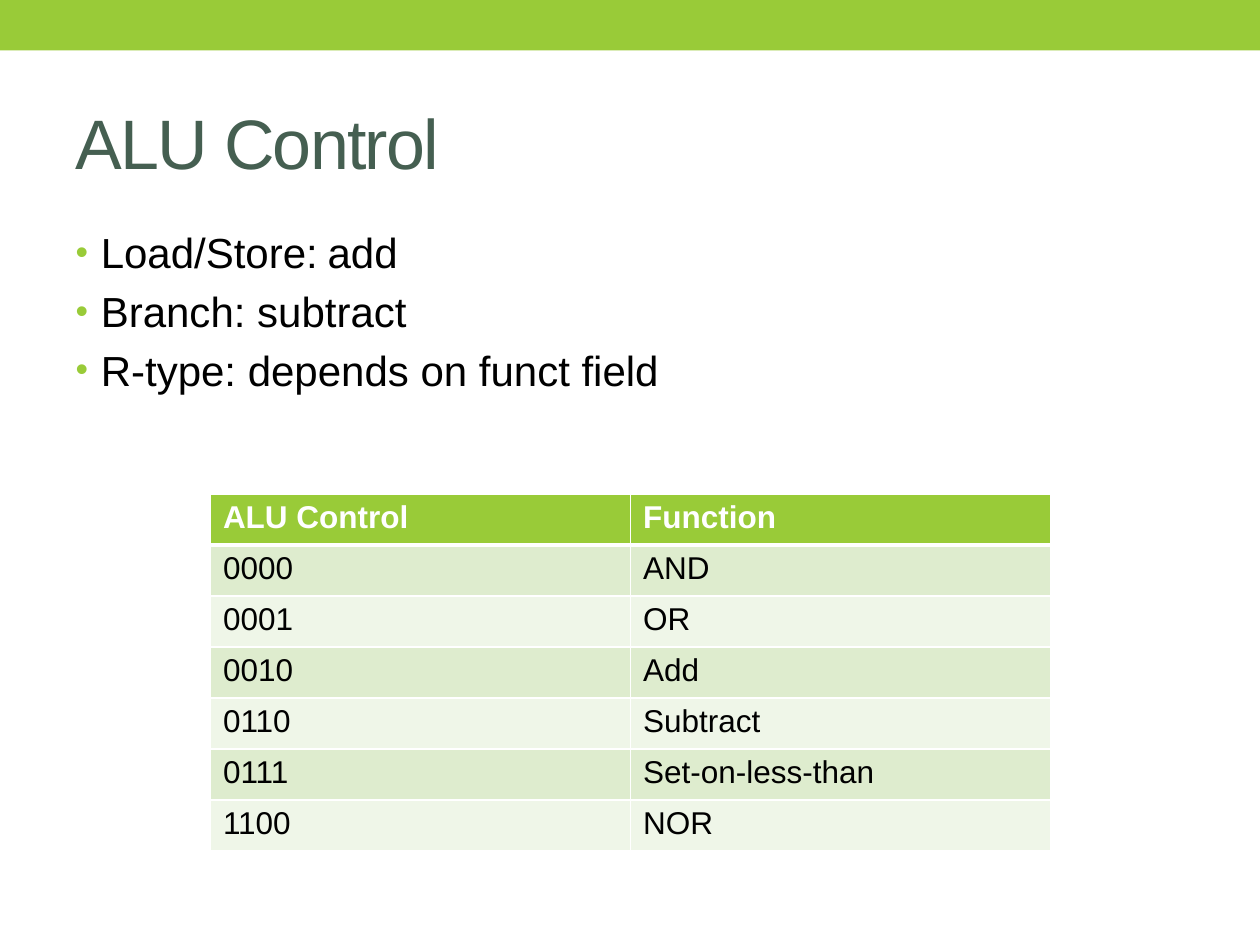
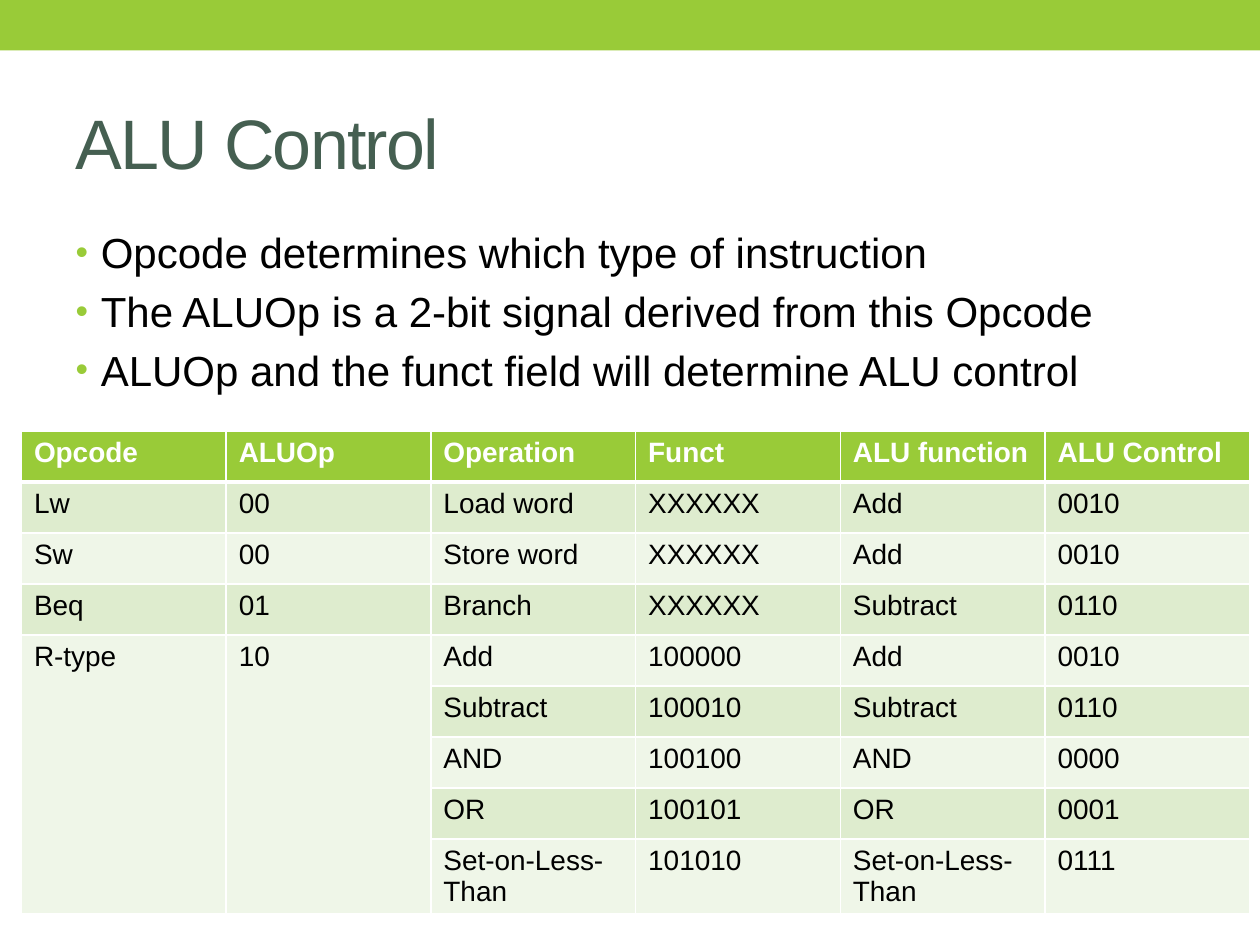
from lxml import etree
from pptx import Presentation, util as u
from pptx.dml.color import RGBColor
from pptx.enum import shapes, text
from pptx.oxml import ns

# Content
SLIDES = [
    {
        "title": "ALU Control",
        "points": [
            "Load/Store:\tadd",
            "Branch: subtract",
            "R-type: depends on funct field",
        ],
        "table": {
            "left": 1.67, "top": 3.92, "width": 6.67, "size": 18,
            "rows": [
                ("ALU Control", "Function"),
                ("0000", "AND"),
                ("0001", "OR"),
                ("0010", "Add"),
                ("0110", "Subtract"),
                ("0111", "Set-on-less-than"),
                ("1100", "NOR"),
            ],
        },
    },
    {
        "title": "ALU Control",
        "points": [
            "Opcode determines which type of instruction",
            "The ALUOp is a 2-bit signal derived from this Opcode",
            "ALUOp and the funct field will determine ALU control",
        ],
        # None continues the cell above it
        "table": {
            "left": 0.17, "top": 3.42, "width": 9.75, "size": 16,
            "rows": [
                ("Opcode", "ALUOp", "Operation", "Funct", "ALU function", "ALU Control"),
                ("Lw", "00", "Load word", "XXXXXX", "Add", "0010"),
                ("Sw", "00", "Store word", "XXXXXX", "Add", "0010"),
                ("Beq", "01", "Branch", "XXXXXX", "Subtract", "0110"),
                ("R-type", "10", "Add", "100000", "Add", "0010"),
                (None, None, "Subtract", "100010", "Subtract", "0110"),
                (None, None, "AND", "100100", "AND", "0000"),
                (None, None, "OR", "100101", "OR", "0001"),
                (None, None, "Set-on-Less-Than", "101010", "Set-on-Less-Than", "0111"),
            ],
        },
    },
]

# Shared look
GREEN = RGBColor(0x99, 0xCB, 0x38)
SLATE = RGBColor(0x45, 0x5F, 0x51)
BLACK = RGBColor(0, 0, 0)
WHITE = RGBColor(0xFF, 0xFF, 0xFF)
ROW_FILLS = [RGBColor(0xEF, 0xF6, 0xE8), RGBColor(0xDE, 0xEC, 0xCE)]
FONT = "Arial"
ROW_HEIGHT = 0.405
TITLE_BOX = (0.5, 0.58, 9, 1.08)
BODY_BOX = (0.5, 1.75, 9, 5.33)
TITLE_FORMAT = {"size": u.Pt(40), "name": FONT, "color": SLATE}
BODY_FORMAT = {"size": u.Pt(24), "name": FONT, "color": BLACK}


def format_font(font, values):
    for name, value in values.items():
        if name == "color":
            font.color.rgb = value
        else:
            setattr(font, name, value)


def add_child(parent, tag, **attributes):
    return etree.SubElement(parent, ns.qn(tag), attributes)


def place(shape, box):
    for name, value in zip(("left", "top", "width", "height"), box):
        setattr(shape, name, u.Inches(value))


def add_band(page, width):
    band = page.shapes.add_shape(shapes.MSO_SHAPE.RECTANGLE, 0, 0, width, u.Inches(0.4))
    band.shadow.inherit = False
    band.fill.solid()
    band.fill.fore_color.rgb = GREEN
    band.line.fill.background()


def fill_title(title, words):
    place(title, TITLE_BOX)
    frame = title.text_frame
    frame.auto_size = text.MSO_AUTO_SIZE.NONE
    frame.vertical_anchor = text.MSO_ANCHOR.MIDDLE
    para = frame.paragraphs[0]
    para.alignment = text.PP_ALIGN.LEFT
    span = para.add_run()
    span.text = words
    format_font(span.font, TITLE_FORMAT)
    span.font._element.set("spc", "-100")


def fill_points(body, points):
    place(body, BODY_BOX)
    frame = body.text_frame
    frame.auto_size = text.MSO_AUTO_SIZE.NONE
    for index, point in enumerate(points):
        para = frame.add_paragraph() if index else frame.paragraphs[0]
        span = para.add_run()
        span.text = point
        format_font(span.font, BODY_FORMAT)
        # Hanging green bullet
        props = para._p.get_or_add_pPr()
        props.set("marL", str(u.Inches(0.2)))
        props.set("indent", str(u.Inches(-0.2)))
        add_child(add_child(props, "a:buClr"), "a:srgbClr", val=str(GREEN))
        add_child(props, "a:buSzPct", val="85000")
        add_child(props, "a:buFont", typeface=FONT)
        add_child(props, "a:buChar", char="•")


def add_borders(cell, row):
    widths = {"L": 1, "R": 1, "T": 3 if row == 1 else 1, "B": 3 if row == 0 else 1}
    props = cell._tc.get_or_add_tcPr()
    for side, width in widths.items():
        line = add_child(props, f"a:ln{side}", w=str(u.Pt(width)))
        add_child(add_child(line, "a:solidFill"), "a:srgbClr", val=str(WHITE))


def add_grid(page, left, top, width, size, rows):
    columns = len(rows[0])
    grid = page.shapes.add_table(
        len(rows), columns, u.Inches(left), u.Inches(top),
        u.Inches(width), u.Inches(ROW_HEIGHT * len(rows))).table
    for r, row in enumerate(rows):
        header = r == 0
        look = {"size": u.Pt(size), "name": FONT, "bold": header,
                "color": WHITE if header else BLACK}
        for c, words in enumerate(row):
            cell = grid.cell(r, c)
            add_borders(cell, r)
            cell.fill.solid()
            cell.fill.fore_color.rgb = GREEN if header else ROW_FILLS[r % 2]
            if words is not None:
                span = cell.text_frame.paragraphs[0].add_run()
                span.text = words
                format_font(span.font, look)
    # Join each cell with the None cells that continue it
    for c in range(columns):
        gaps = [r for r, row in enumerate(rows) if row[c] is None]
        if gaps:
            grid.cell(gaps[0] - 1, c).merge(grid.cell(gaps[-1], c))


def main():
    deck = Presentation()
    deck.slide_width, deck.slide_height = u.Inches(10), u.Inches(7.5)
    for content in SLIDES:
        page = deck.slides.add_slide(deck.slide_layouts[1])
        add_band(page, deck.slide_width)
        fill_title(page.shapes.title, content["title"])
        fill_points(page.placeholders[1], content["points"])
        add_grid(page, **content["table"])
    deck.save("out.pptx")


if __name__ == "__main__":
    main()
